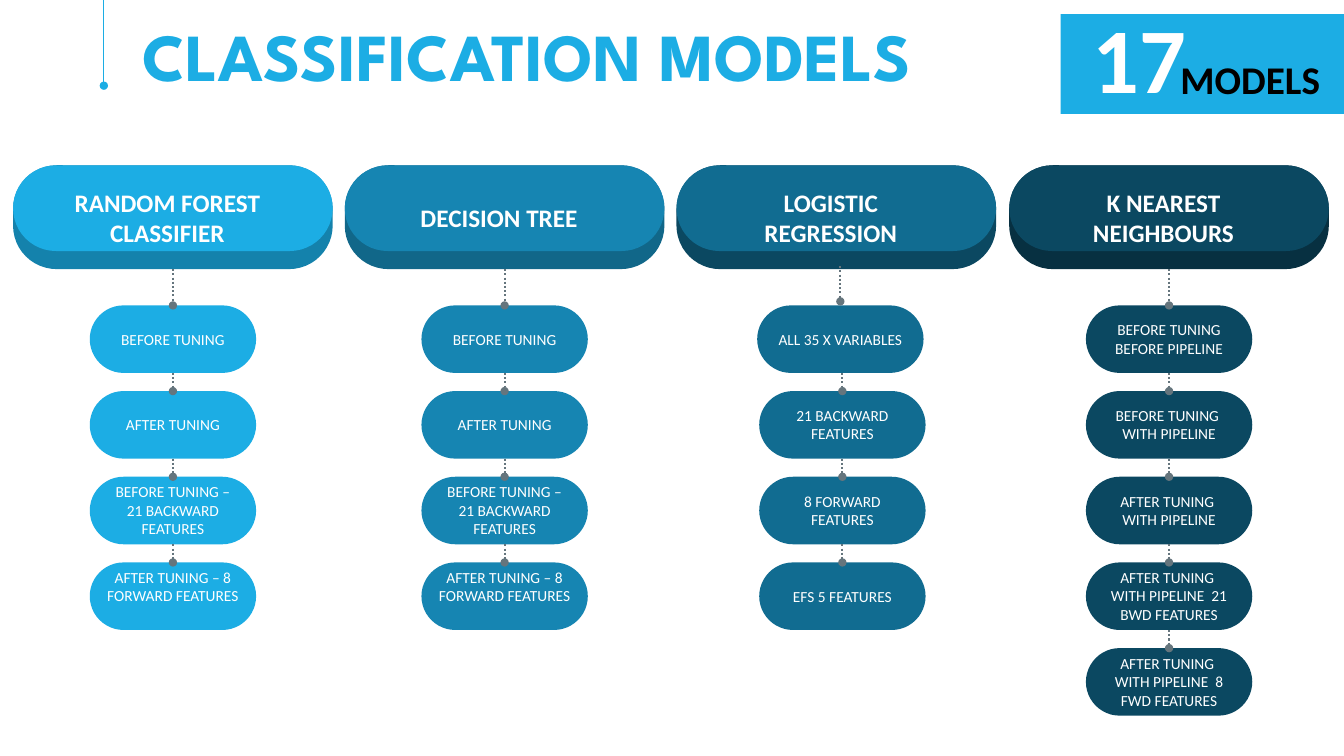
from lxml import etree
from pptx import Presentation
from pptx.dml.color import RGBColor
from pptx.enum import dml, shapes, text
from pptx.oxml import ns
from pptx.util import Inches, Pt

WHITE, SKY, GREY = "FFFFFF", "1CADE4", "65757D"
HEADER_TOP, HEADER_WIDTH, HEADER_HEIGHT = 1.64, 3.17, 1.03
PILL_TOP, PILL_STEP, PILL_WIDTH, PILL_HEIGHT = 3.03, 0.85, 1.65, 0.67

TREE_STEPS = [
    ("BEFORE TUNING", 1),
    ("AFTER TUNING", 1),
    ("BEFORE TUNING – 21 BACKWARD FEATURES", 3),
    ("AFTER TUNING – 8 FORWARD FEATURES", 3),
]
LOGISTIC_STEPS = [
    ("ALL 35 X VARIABLES", 1),
    ("21 BACKWARD FEATURES", 2),
    ("8 FORWARD FEATURES", 2),
    ("EFS 5 FEATURES", 1),
]
NEIGHBOUR_STEPS = [
    ("BEFORE TUNING BEFORE PIPELINE", 2),
    ("BEFORE TUNING  WITH PIPELINE", 2),
    ("AFTER TUNING  WITH PIPELINE", 2),
    ("AFTER TUNING  WITH PIPELINE  21 BWD FEATURES", 3),
    ("AFTER TUNING  WITH PIPELINE  8 FWD FEATURES", 3),
]
COLUMNS = [
    (0.13, "RANDOM FOREST CLASSIFIER", 2, SKY, "1482AC", TREE_STEPS),
    (3.42, "DECISION TREE", 1, "1685B2", "116789", TREE_STEPS),
    (6.71, "LOGISTIC REGRESSION", 2, "116C91", "0B4861", LOGISTIC_STEPS),
    (10.01, "K NEAREST NEIGHBOURS", 2, "0B4861", "073041", NEIGHBOUR_STEPS),
]


def color(value):
    return RGBColor.from_string(value)


def add_block(slide, kind, left, top, width, height, fill, rounding=None):
    shape = slide.shapes.add_shape(
        kind, Inches(left), Inches(top), Inches(width), Inches(height))
    shape.shadow.inherit = False
    shape.fill.solid()
    shape.fill.fore_color.rgb = color(fill)
    shape.line.fill.background()
    if rounding is not None:
        shape.adjustments[0] = rounding
    return shape


def add_pill(slide, left, top, width, height, fill, rounding=0.5):
    return add_block(slide, shapes.MSO_SHAPE.ROUNDED_RECTANGLE,
                     left, top, width, height, fill, rounding)


def add_label(slide, left, top, width, height, words, size, fill=WHITE, bold=True,
              font="Calibri", align=text.PP_ALIGN.LEFT, spacing=None, inset=True):
    box = slide.shapes.add_textbox(
        Inches(left), Inches(top), Inches(width), Inches(height))
    frame = box.text_frame
    frame.word_wrap = True
    frame.auto_size = text.MSO_AUTO_SIZE.SHAPE_TO_FIT_TEXT
    if not inset:
        frame.margin_left = frame.margin_right = 0
        frame.margin_top = frame.margin_bottom = 0
    paragraph = frame.paragraphs[0]
    paragraph.alignment = align
    if spacing:
        paragraph.line_spacing = spacing
    run = paragraph.add_run()
    run.text = words
    run.font.name = font
    run.font.size = Pt(size)
    run.font.bold = bold
    run.font.color.rgb = color(fill)


def add_centred_label(slide, center, middle, width, lines, words, size, bold):
    height = lines * size * 1.22 / 72
    add_label(slide, center - width / 2, middle - height / 2, width, height, words,
              size, bold=bold, align=text.PP_ALIGN.CENTER, inset=False)


def add_drop(slide, x, top, bottom, fill=GREY, weight=1.5, dotted=True):
    connector = slide.shapes.add_connector(
        shapes.MSO_CONNECTOR.STRAIGHT, Inches(x), Inches(top), Inches(x), Inches(bottom))
    connector.line.color.rgb = color(fill)
    connector.line.width = Pt(weight)
    if dotted:
        connector.line.dash_style = dml.MSO_LINE.ROUND_DOT
    outline = connector.line._get_or_add_ln()
    etree.SubElement(outline, ns.qn("a:tailEnd"), type="oval")
    etree.SubElement(connector._element.spPr, ns.qn("a:effectLst"))
    return connector


def add_header(slide, left, title, lines, face, edge):
    base = add_pill(slide, left, HEADER_TOP, HEADER_WIDTH, HEADER_HEIGHT, edge, 0.42)
    add_pill(slide, left, HEADER_TOP, HEADER_WIDTH, 0.85, face)
    add_centred_label(slide, left + 1.53, HEADER_TOP + 0.52, 2.04, lines, title, 18, True)
    return base


def add_column(slide, left, title, lines, face, edge, steps):
    previous = add_header(slide, left, title, lines, face, edge)
    logistic = steps is LOGISTIC_STEPS
    for row, (words, step_lines) in enumerate(steps):
        top = PILL_TOP + row * PILL_STEP
        pill_left = left + 0.76
        if logistic:
            pill_left = 7.53 if row else 7.51
        center = pill_left + PILL_WIDTH / 2
        pill = add_pill(slide, pill_left, top, PILL_WIDTH, PILL_HEIGHT, face)
        add_centred_label(slide, center, top + PILL_HEIGHT / 2, 1.32, step_lines,
                          words, 11, False)
        if logistic and row == 0:
            add_drop(slide, center, 2.64, 2.99)
        else:
            drop = add_drop(slide, center, top - PILL_STEP + PILL_HEIGHT, top)
            if not (logistic and row == 1):
                drop.begin_connect(previous, 2)
            drop.end_connect(pill, 0)
        previous = pill


def add_title(slide):
    add_label(slide, 1.41, 0.23, 9.2, 0.73, "CLASSIFICATION MODELS", 48, SKY,
              font="League Spartan", spacing=0.9, inset=False)
    add_drop(slide, 1.03, 0, 0.85, SKY, 0.5, dotted=False)


def add_model_count(slide):
    add_block(slide, shapes.MSO_SHAPE.RECTANGLE, 10.52, 0.14, 2.81, 0.99, SKY)
    add_label(slide, 10.74, -0.04, 1.36, 1.21, "17", 66)
    add_label(slide, 11.61, 0.5, 1.91, 0.57, "MODELS", 28, "000000")


def main():
    presentation = Presentation()
    presentation.slide_width = Inches(13.33)
    presentation.slide_height = Inches(7.5)
    slide = presentation.slides.add_slide(presentation.slide_layouts[6])
    add_title(slide)
    add_model_count(slide)
    for column in COLUMNS:
        add_column(slide, *column)
    presentation.save("out.pptx")


if __name__ == "__main__":
    main()
